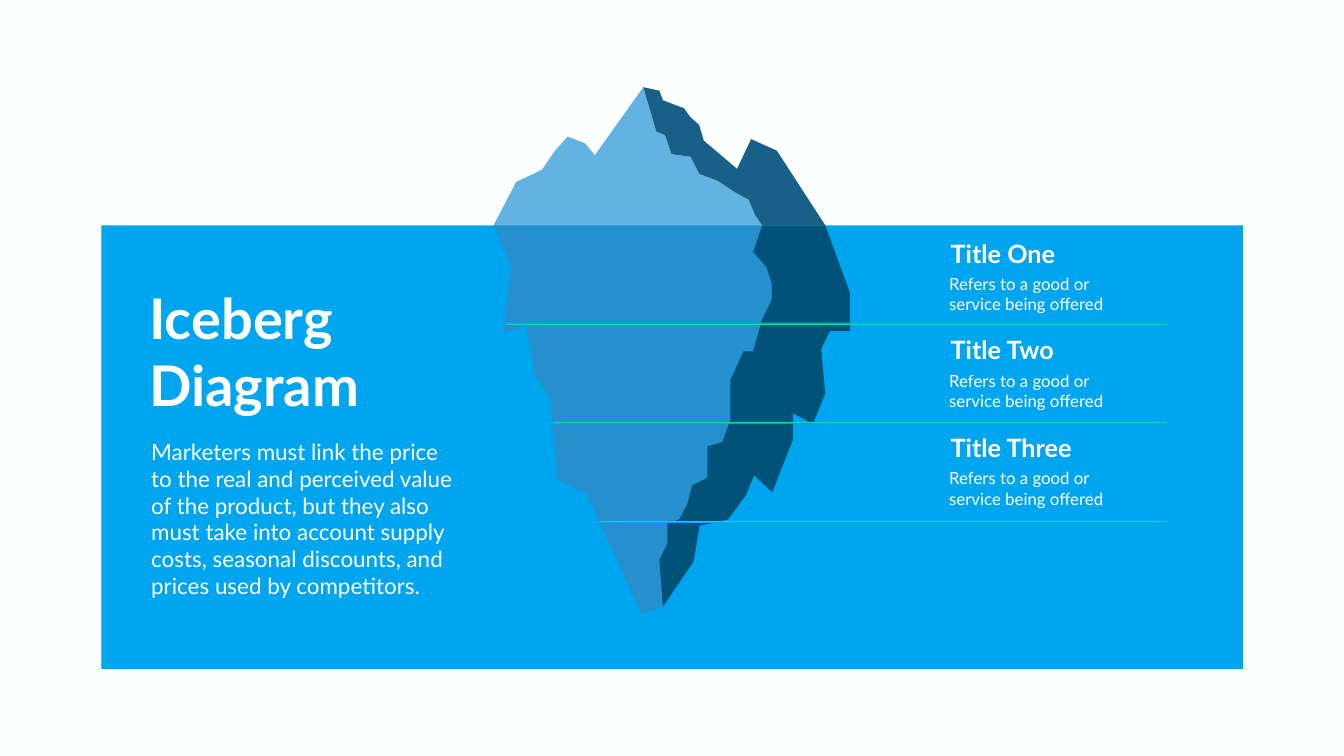
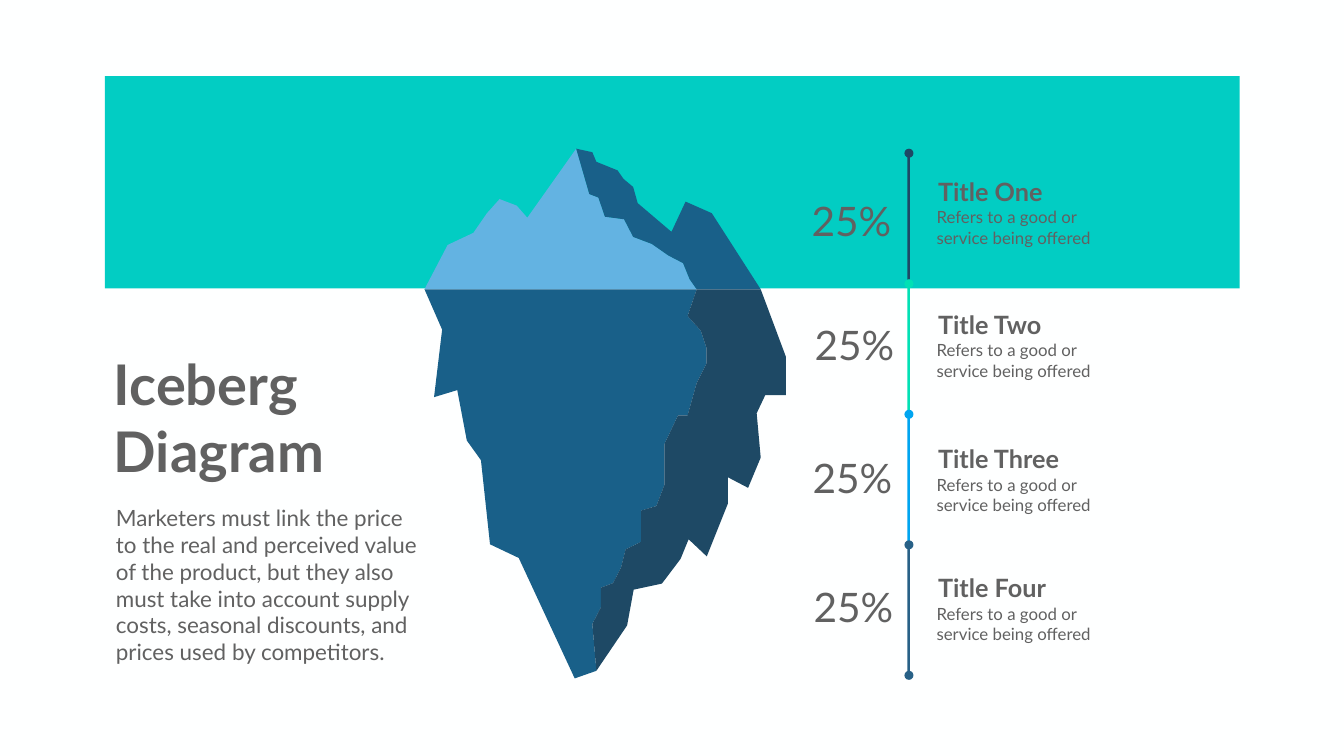
from lxml.etree import SubElement
from pptx import Presentation
from pptx.dml.color import RGBColor as RGB
from pptx.enum.shapes import MSO_CONNECTOR as CONNECTOR, MSO_SHAPE as SHAPE
from pptx.enum.text import MSO_AUTO_SIZE as AUTO_SIZE
from pptx.oxml.ns import qn
from pptx.util import Pt

PX = 9144
WIDTH, HEIGHT = 2666, 1500
FONT = "Lato"
COLORS = {
    "paper": "FEFFFF", "white": "FFFFFF", "gray": "616161",
    "blue": "00A5F0", "teal": "02CDC3", "mint": "01E1B5",
    "ice": "63B3E2", "steel": "196089", "sea": "2690CE",
    "deep": "005278", "navy": "1E4965", "slate": "286187",
}

HEADING = "Iceberg\nDiagram"
BODY = ("Marketers must link the price to the real and perceived value of the "
        "product, but they also must take into account supply costs, seasonal "
        "discounts, and prices used by competitors.")
DETAIL = "Refers to a good or\nservice being offered"

WATERLINE = 574
PEAK_RIDGE = [(1143, 295), (1169, 385), (1187, 392), (1200, 430), (1238, 435),
              (1256, 470), (1293, 484), (1326, 507), (1355, 522), (1368, 554),
              (1382, 574)]
PEAK_LEFT = [(842, 574), (888, 486), (939, 462), (966, 423), (991, 395),
             (1025, 408), (1046, 432)]
PEAK_RIGHT = [(1175, 302), (1183, 321), (1225, 338), (1237, 355), (1256, 371),
              (1265, 403), (1332, 460), (1360, 400), (1412, 423), (1509, 574)]
ROOT_RIDGE = [(1382, 574), (1364, 627), (1390, 656), (1401, 689), (1401, 722),
              (1382, 760), (1364, 824), (1345, 824), (1318, 881), (1318, 962),
              (1302, 1004), (1272, 1013), (1272, 1075), (1241, 1090),
              (1232, 1126), (1216, 1157), (1192, 1166), (1192, 1205),
              (1175, 1238), (1183, 1331)]
ROOT_LEFT = [(1140, 1346), (1029, 1107), (972, 1080), (954, 913), (926, 874),
             (907, 774), (861, 788), (877, 654), (842, 574)]
ROOT_RIGHT = [(1244, 1241), (1257, 1170), (1313, 1158), (1350, 1109),
              (1366, 1070), (1402, 1104), (1444, 999), (1444, 947), (1484, 968),
              (1509, 908), (1501, 820), (1518, 784), (1559, 784), (1559, 708),
              (1509, 574)]
PEAK_FRONT = PEAK_RIDGE + PEAK_LEFT
PEAK_BACK = PEAK_RIDGE[::-1] + PEAK_RIGHT
ROOT_FRONT = ROOT_RIDGE + ROOT_LEFT
ROOT_BACK = ROOT_RIDGE + ROOT_RIGHT


def move(points, waterline, y_scale=1.0):
    return [(979 + (x - 842) * 0.9867, waterline + (y - WATERLINE) * y_scale)
            for x, y in points]


def cut(points, limit, sign):
    kept = []
    for (x1, y1), (x2, y2) in zip(points[-1:] + points[:-1], points):
        before, after = (y1 - limit) * sign, (y2 - limit) * sign
        if before * after < 0:
            kept.append((x1 + (x2 - x1) * (limit - y1) / (y2 - y1), limit))
        if after >= 0:
            kept.append((x2, y2))
    return kept


def layer(points, top, bottom):
    return cut(cut(points, top, 1), bottom, -1)


class Deck:
    def __init__(self):
        self.prs = Presentation()
        self.prs.slide_width = WIDTH * PX
        self.prs.slide_height = HEIGHT * PX
        self.s = None

    def color(self, name):
        return RGB.from_string(COLORS[name])

    def slide(self):
        self.s = self.prs.slides.add_slide(self.prs.slide_layouts[6])
        fill = self.s.background.fill
        fill.solid()
        fill.fore_color.rgb = self.color("paper")

    def paint(self, sp, color):
        sp.shadow.inherit = False
        sp.fill.solid()
        sp.fill.fore_color.rgb = self.color(color)
        sp.line.fill.background()

    def shape(self, kind, x, y, w, h, color):
        sp = self.s.shapes.add_shape(kind, x * PX, y * PX, w * PX, h * PX)
        self.paint(sp, color)

    def facet(self, points, color):
        points = [(round(x), round(y)) for x, y in points]
        builder = self.s.shapes.build_freeform(*points[0], scale=PX)
        builder.add_line_segments(points[1:], close=True)
        self.paint(builder.convert_to_shape(), color)

    def line(self, x1, y1, x2, y2, color, width):
        sp = self.s.shapes.add_connector(
            CONNECTOR.STRAIGHT, x1 * PX, y1 * PX, x2 * PX, y2 * PX)
        sp.line.color.rgb = self.color(color)
        sp.line.width = Pt(width)
        SubElement(sp._element.spPr, qn("a:effectLst"))

    def text(self, text, x, y, w, h, size, color, bold=False, wrap=True):
        sp = self.s.shapes.add_textbox(x * PX, y * PX, w * PX, h * PX)
        tf = sp.text_frame
        tf.word_wrap = wrap
        tf.auto_size = AUTO_SIZE.SHAPE_TO_FIT_TEXT
        tf.text = text
        for p in tf.paragraphs:
            for r in p.runs:
                r.font.name = FONT
                r.font.size = Pt(size)
                r.font.bold = bold
                r.font.color.rgb = self.color(color)

    def intro(self, x, y, color):
        self.text(HEADING, x, y, 446, 279, 80, color, bold=True, wrap=False)
        self.text(BODY, x + 4, y + 307, 634, 333, 32, color)

    def item(self, title, x, y, gap, color):
        self.text(title, x, y, 267, 71, 36, color, bold=True)
        self.text(DETAIL, x - 3, y + gap, 338, 91, 24, color)


def layers_slide(deck):
    deck.slide()
    deck.shape(SHAPE.RECTANGLE, 201, 447, 2265, 880, "blue")
    deck.facet(move(PEAK_FRONT, 447, 0.982), "ice")
    deck.facet(move(PEAK_BACK, 447, 0.982), "steel")
    for i in range(4):
        top = 447 + 197 * i
        for outline, color in ((ROOT_FRONT, "sea"), (ROOT_BACK, "deep")):
            deck.facet(layer(move(outline, 447), top, top + 193), color)
    for i, x in enumerate((1003, 1097, 1192)):
        y = 644 + 195 * i
        deck.line(x, y, 2314, y, "mint", 1.45)
    deck.intro(286, 557, "paper")
    for title, y in (("Title One", 467), ("Title Two", 659), ("Title Three", 853)):
        deck.item(title, 1876, y, 71, "white")


def timeline_slide(deck):
    deck.slide()
    deck.shape(SHAPE.RECTANGLE, 208, 151, 2251, 421, "teal")
    for outline, color in ((PEAK_FRONT, "ice"), (PEAK_BACK, "steel"),
                           (ROOT_FRONT, "steel"), (ROOT_BACK, "navy")):
        deck.facet(outline, color)
    rods = ["navy", "mint", "blue", "slate"]
    for i, color in enumerate(rods):
        deck.shape(SHAPE.RECTANGLE, 1800, 304 + 259 * i, 5, 260, color)
    for i, color in enumerate(rods + rods[-1:]):
        deck.shape(SHAPE.OVAL, 1794, 295 + 259 * i, 18, 18, color)
    deck.intro(216, 688, "gray")
    items = (("Title One", 345, 1600, 383), ("Title Two", 609, 1606, 629),
             ("Title Three", 875, 1602, 894), ("Title Four", 1131, 1604, 1150))
    for title, y, share_x, share_y in items:
        deck.item(title, 1851, y, 61, "gray")
        deck.text("25%", share_x, share_y, 187, 111, 58, "gray", wrap=False)


def main():
    deck = Deck()
    layers_slide(deck)
    timeline_slide(deck)
    deck.prs.save("out.pptx")


if __name__ == "__main__":
    main()
